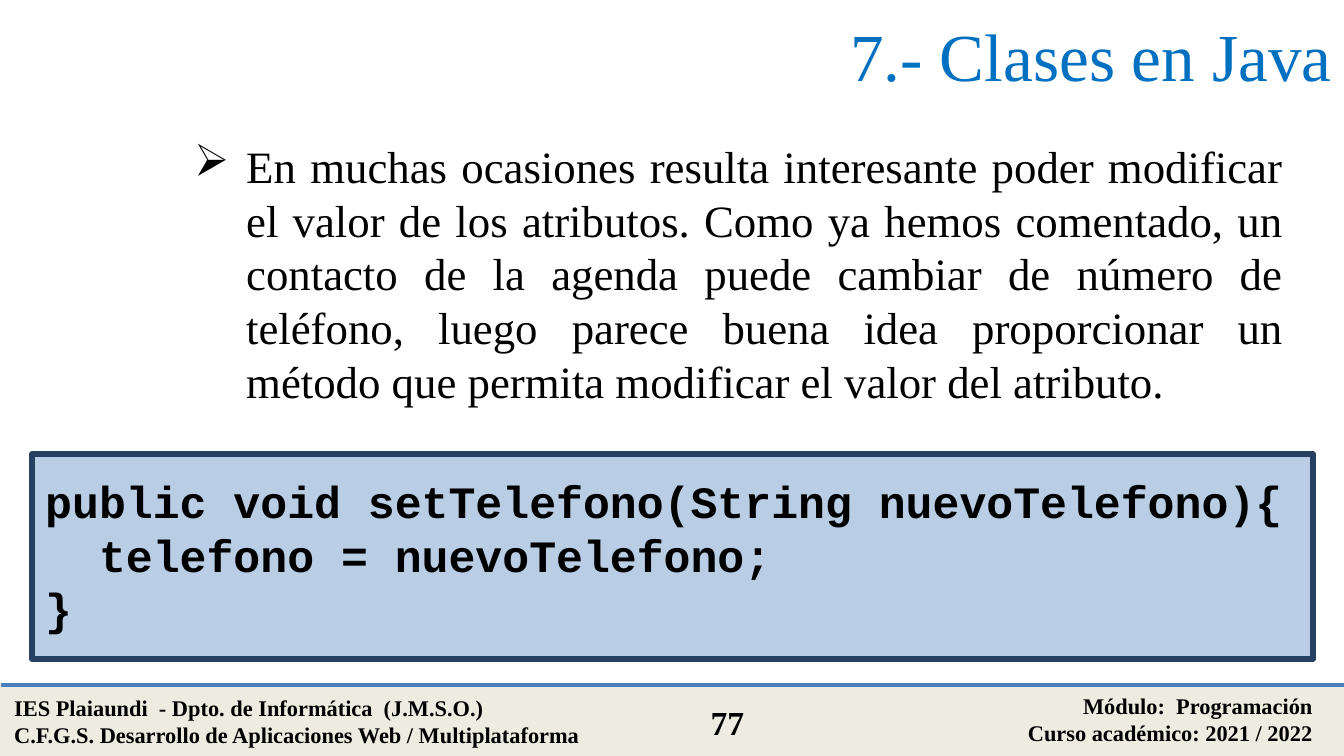
from dataclasses import dataclass

from lxml.etree import SubElement
from pptx import Presentation
from pptx.dml.color import RGBColor
from pptx.enum.shapes import MSO_CONNECTOR, MSO_SHAPE
from pptx.enum.text import MSO_ANCHOR, PP_ALIGN
from pptx.oxml.ns import qn
from pptx.util import Emu, Pt


@dataclass(frozen=True)
class Theme:
    serif: str = "Times New Roman"
    mono: str = "Courier New"
    black: str = "000000"
    title: str = "0070C0"
    band: str = "EEECE1"
    rule: str = "4B7EBC"
    code_fill: str = "B9CDE5"
    code_line: str = "254061"
    title_size: int = 36
    body_size: int = 24
    page_size: int = 18
    footer_size: int = 12


T = Theme()
WIDTH, HEIGHT = 1344, 756
FOOTER_TOP = 685
CODE_LEFT, CODE_WIDTH = 32, 1281

TITLE = ["7.- Clases en Java"]
BODY = [
    "En muchas ocasiones resulta interesante poder modificar el valor de los "
    "atributos. Como ya hemos comentado, un contacto de la agenda puede cambiar "
    "de número de teléfono, luego parece buena idea proporcionar un método que "
    "permita modificar el valor del atributo."
]
CODE = [
    "public void setTelefono(String nuevoTelefono){",
    "  telefono = nuevoTelefono;",
    "}",
]
SCHOOL = [
    "IES Plaiaundi  - Dpto. de Informática  (J.M.S.O.)",
    "C.F.G.S. Desarrollo de Aplicaciones Web / Multiplataforma",
]
COURSE = ["Módulo:  Programación", "Curso académico: 2021 / 2022"]
PAGE = ["77"]

FOOTER_FONT = {"size": T.footer_size, "bold": True}
TEXTS = [
    (SCHOOL, (1, 688, 626, 67), PP_ALIGN.LEFT, FOOTER_FONT),
    (COURSE, (789, 686, 537, 67), PP_ALIGN.RIGHT, FOOTER_FONT),
    (PAGE, (673, 695, 109, 54), PP_ALIGN.CENTER,
     {"size": T.page_size, "bold": True}),
    (TITLE, (1, 0, WIDTH, 109), PP_ALIGN.RIGHT,
     {"size": T.title_size, "color": T.title}),
    (BODY, (181, 132, 1115, 285), PP_ALIGN.JUSTIFY, {"size": T.body_size}),
    (CODE, (CODE_LEFT, 467, CODE_WIDTH, 176), PP_ALIGN.LEFT,
     {"size": T.body_size, "name": T.mono, "bold": True}),
]
PANELS = [
    ((1, FOOTER_TOP, WIDTH, HEIGHT - FOOTER_TOP), T.band, T.band, 2),
    ((CODE_LEFT, 454, CODE_WIDTH, 205), T.code_fill, T.code_line, 3),
]


def px(n):
    return Emu(round(n * 914400 / 134.4))


def rgb(color):
    return RGBColor.from_string(color)


def add_panel(s, box, fill, line, width):
    sp = s.shapes.add_shape(MSO_SHAPE.RECTANGLE, *map(px, box))
    sp.shadow.inherit = False
    sp.fill.solid()
    sp.fill.fore_color.rgb = rgb(fill)
    sp.line.color.rgb = rgb(line)
    sp.line.width = Pt(width)


def add_rule(s, y):
    cn = s.shapes.add_connector(
        MSO_CONNECTOR.STRAIGHT, px(1), px(y), px(WIDTH + 1), px(y))
    cn.line.color.rgb = rgb(T.rule)
    cn.line.width = Pt(2)
    SubElement(cn._element.spPr, qn("a:effectLst"))


def add_bullet(p, char, indent):
    pPr = p._p.get_or_add_pPr()
    pPr.set("marL", str(indent))
    pPr.set("indent", str(-indent))
    SubElement(pPr, qn("a:buChar")).set("char", char)


def add_text(s, lines, box, align, font):
    sp = s.shapes.add_textbox(*map(px, box))
    tf = sp.text_frame
    tf.word_wrap = True
    if lines is TITLE:
        tf.vertical_anchor = MSO_ANCHOR.MIDDLE
    style = {"name": T.serif, "color": T.black, "bold": False} | font
    color, size = style.pop("color"), Pt(style.pop("size"))
    for i, line in enumerate(lines):
        p = tf.add_paragraph() if i else tf.paragraphs[0]
        p.alignment = align
        if lines is BODY:
            add_bullet(p, "➢", px(52))
        r = p.add_run()
        r.text = line
        r.font.size = size
        r.font.color.rgb = rgb(color)
        for key, value in style.items():
            setattr(r.font, key, value)


def main():
    prs = Presentation()
    prs.slide_width, prs.slide_height = px(WIDTH), px(HEIGHT)
    s = prs.slides.add_slide(prs.slide_layouts[6])
    for panel in PANELS:
        add_panel(s, *panel)
    add_rule(s, FOOTER_TOP)
    for text in TEXTS:
        add_text(s, *text)
    prs.save("out.pptx")


if __name__ == "__main__":
    main()
